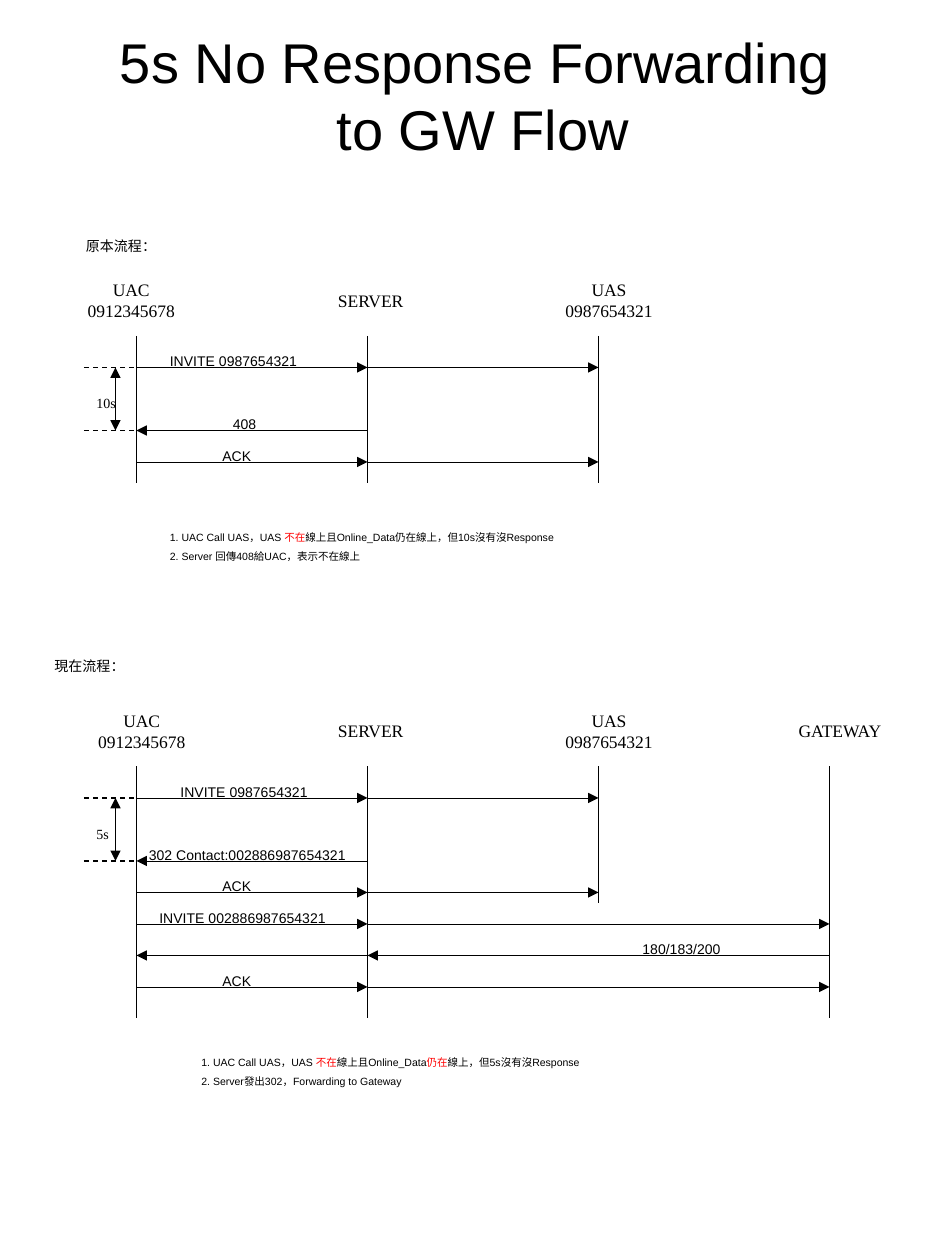
"""Build a slide comparing two SIP no-response call flows."""
from lxml import etree
from pptx import Presentation, util as u
from pptx.dml.color import RGBColor
from pptx.enum import dml, shapes, text
from pptx.oxml.ns import qn

UNIT = u.Cm(2.54) / 12
BLACK, RED = "000000", "FF0000"
SANS, SERIF = "Arial", "Times New Roman"
CENTER, LEFT = text.PP_ALIGN.CENTER, text.PP_ALIGN.LEFT
UAC, SERVER, UAS, GATEWAY = range(13, 80, 22)

prs = Presentation()
prs.slide_width, prs.slide_height = u.Cm(19.05), u.Cm(25.4)
s = prs.slides.add_slide(prs.slide_layouts[6])


def write(x, y, w, h, lines, size=8, font=SANS, align=LEFT, before=0):
    """Add a text box; parts between vertical bars are red."""
    sp = s.shapes.add_textbox(*(round(v * UNIT) for v in (x, y, w, h)))
    tf = sp.text_frame
    tf.word_wrap = True
    tf.auto_size = text.MSO_AUTO_SIZE.SHAPE_TO_FIT_TEXT
    for i, line in enumerate(lines):
        p = tf.add_paragraph() if i else tf.paragraphs[0]
        p.alignment, p.space_before = align, u.Pt(before)
        for j, part in enumerate(line.split("|")):
            r = p.add_run()
            r.text = part
            r.font.size, r.font.name = u.Pt(size), font
            r.font.color.rgb = RGBColor.from_string(RED if j % 2 else BLACK)


def connect(x1, y1, x2, y2, width, ends=(), dashed=False):
    """Add a straight line with optional arrowheads."""
    sp = s.shapes.add_connector(shapes.MSO_CONNECTOR.STRAIGHT,
                                *(round(v * UNIT) for v in (x1, y1, x2, y2)))
    sp.line.color.rgb = RGBColor.from_string(BLACK)
    sp.line.width = u.Pt(width)
    if dashed:
        sp.line.dash_style = dml.MSO_LINE.DASH
    ln = sp.line._get_or_add_ln()
    for end in ends:
        etree.SubElement(ln, qn(f"a:{end}End"), type="triangle")
    etree.SubElement(sp._element.spPr, qn("a:effectLst"))


write(0, 2, 92, 14, ["5s No Response Forwarding ", "to GW Flow"], 32, align=CENTER)

flows = [
    {
        "heading": (7, 22, 12, "原本流程："),
        "top": 26, "uac_left": 7, "wait": "10s",
        "lifelines": [(UAC, 14), (SERVER, 14), (UAS, 14)],
        "messages": [
            (9, UAS, "tail", 15, 19, "INVITE 0987654321"),
            (15, SERVER, "head", 21, 5, "408"),
            (18, UAS, "tail", 20, 7, "ACK"),
        ],
        "notes": (15, 50, [
            "1. UAC Call UAS，UAS |不在|線上且Online_Data仍在線上，但10s沒有沒Response",
            "2. Server 回傳408給UAC，表示不在線上",
        ]),
    },
    {
        "heading": (4, 62, 11, "現在流程："),
        "top": 67, "uac_left": 8, "wait": "5s",
        "lifelines": [(UAC, 24), (SERVER, 24), (UAS, 13), (GATEWAY, 24)],
        "messages": [
            (9, UAS, "tail", 16, 15, "INVITE 0987654321"),
            (15, SERVER, "head", 13, 23, "302 Contact:002886987654321"),
            (18, UAS, "tail", 20, 7, "ACK"),
            (21, GATEWAY, "tail", 14, 20, "INVITE 002886987654321"),
            (24, GATEWAY, "head", 60, 10, "180/183/200"),
            (27, GATEWAY, "tail", 20, 7, "ACK"),
        ],
        "notes": (18, 100, [
            "1. UAC Call UAS，UAS |不在|線上且Online_Data|仍在|線上，但5s沒有沒Response",
            "2. Server發出302，Forwarding to Gateway",
        ]),
    },
]

for flow in flows:
    top = flow["top"]
    x, y, w, heading = flow["heading"]
    write(x, y, w, 2.88, [heading], before=5)

    write(flow["uac_left"], top, 11, 5.28, ["UAC", "0912345678"], 10, SERIF, CENTER)
    write(31, top + 1, 9, 3.24, ["SERVER"], 10, SERIF, before=6.2)
    write(52, top, 12, 5.28, ["UAS", "0987654321"], 10, SERIF, CENTER)
    if len(flow["lifelines"]) == 4:
        write(74, top + 1, 12, 3.24, ["GATEWAY"], 10, SERIF, CENTER)
    for x, length in flow["lifelines"]:
        connect(x, top + 6, x, top + 6 + length, 1)

    start, stop = top + 9, top + 15
    for y in (start, stop):
        connect(8, y, UAC, y, 0.75, dashed=True)
    connect(11, start, 11, stop, 0.75, ("head", "tail"))
    write(8, start + 2, 5, 2.88, [flow["wait"]], font=SERIF, before=5)

    for offset, target, end, x, w, label in flow["messages"]:
        y = top + offset
        connect(UAC, y, SERVER, y, 0.5, (end,))
        if target != SERVER:
            connect(SERVER, y, target, y, 0.5, (end,))
        write(x, y - 2, w, 2.88, [label], before=5)

    x, y, notes = flow["notes"]
    write(x, y, 46, 4.2, notes, 6, before=3.7)

prs.save("out.pptx")
